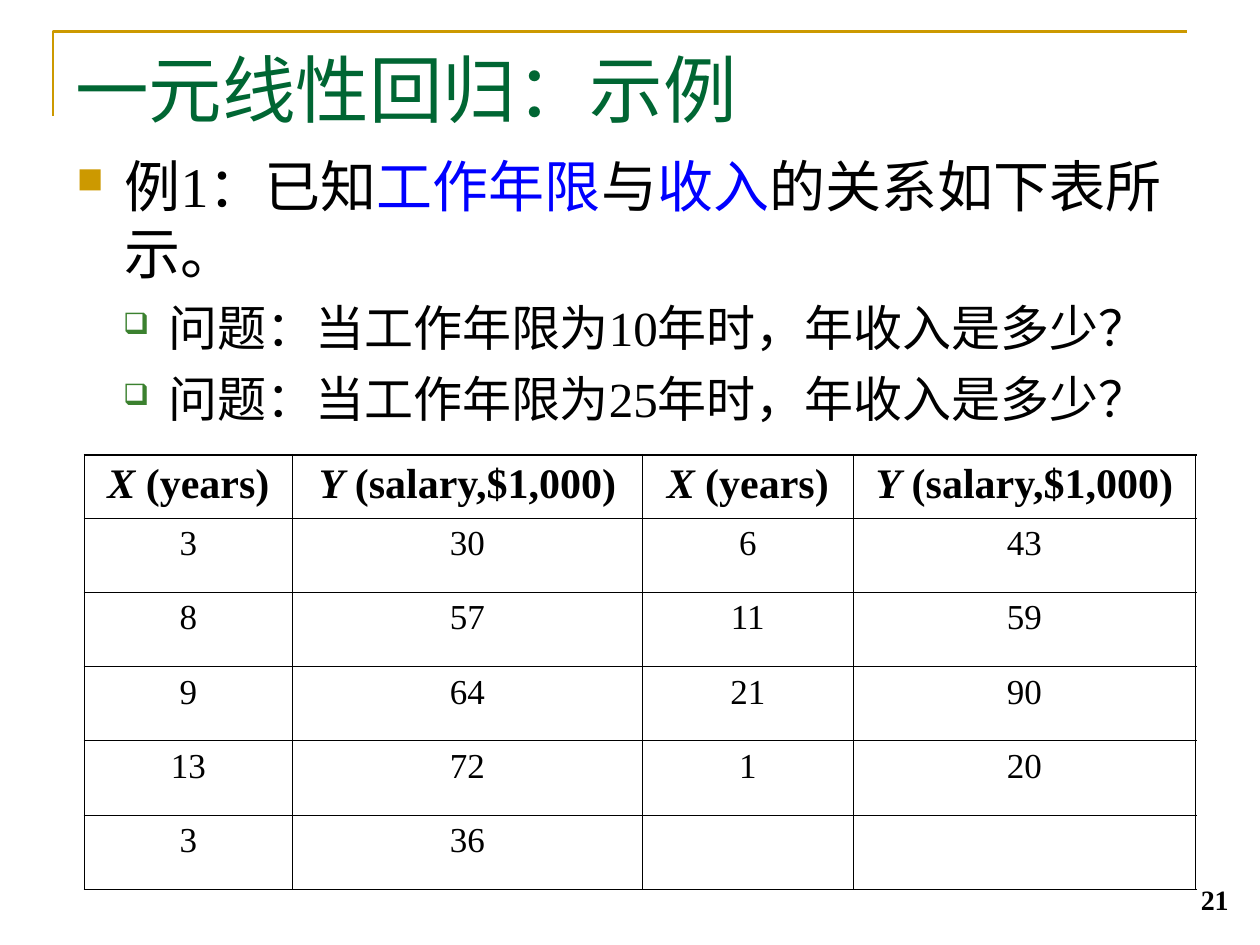
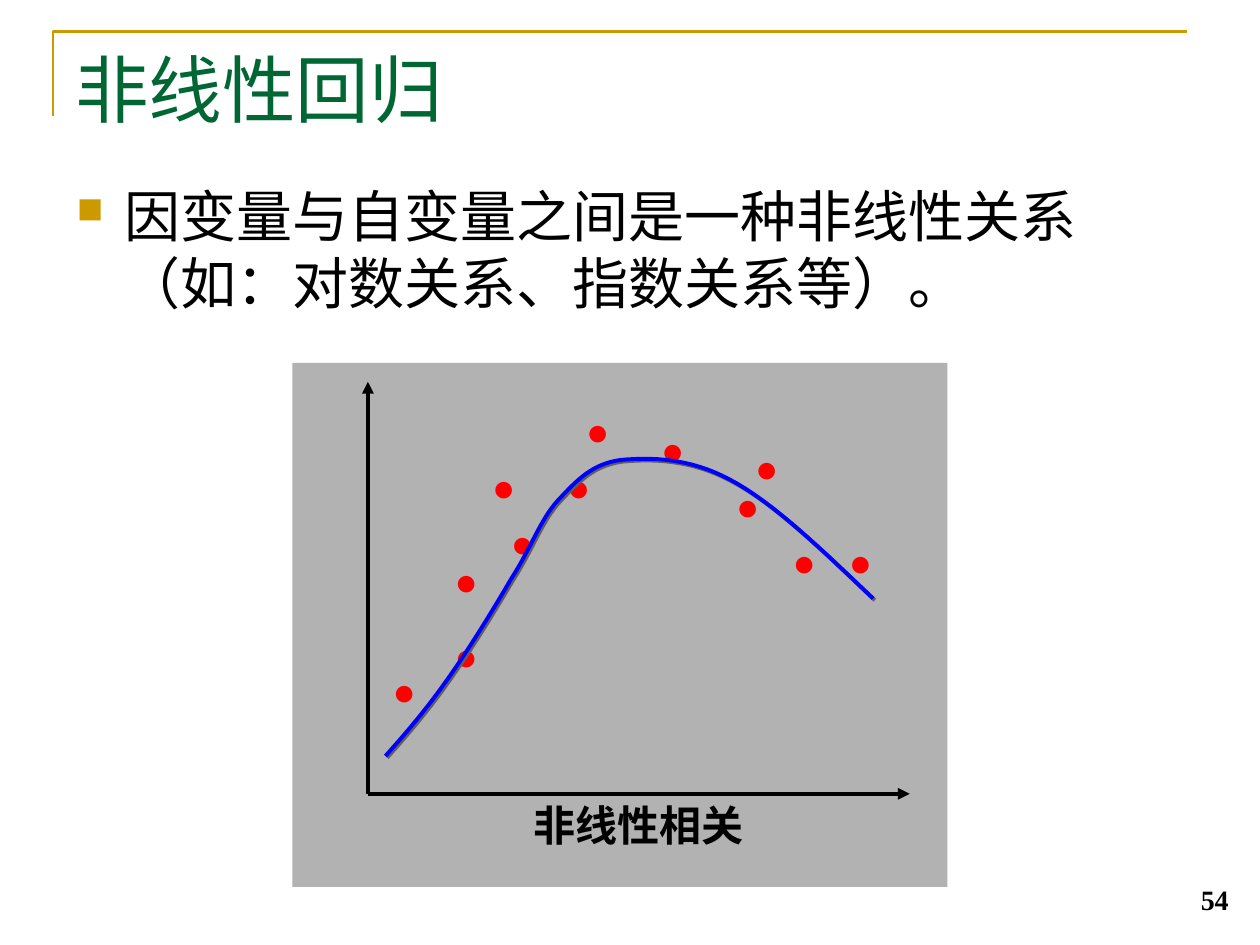
from lxml.etree import SubElement
from pptx import Presentation
from pptx.dml.color import RGBColor
from pptx.enum.lang import MSO_LANGUAGE_ID
from pptx.enum.shapes import MSO_CONNECTOR, MSO_SHAPE
from pptx.enum.text import MSO_ANCHOR, PP_ALIGN
from pptx.oxml.ns import qn
from pptx.util import Emu, Inches, Pt

# Shared look
GOLD, GREEN, BULLET_GREEN = "CC9900", "006633", "3B812F"
BLACK, BLUE, RED, GREY, SHADOW = "000000", "0000FF", "FF0000", "B2B2B2", "5F5F5F"
SERIF, SANS = "Times New Roman", "Arial"
LEVELS = [  # bullet, colour, bullet size %, text size, space before, margin, hanging
    ("■", GOLD, 65, 32, 8, 3.8, 3.8),
    ("❑", BULLET_GREEN, 60, 28, 7, 7.3, 3.6),
]

# Grid: the slide is 100 columns wide and 75 rows high, in square units
WIDTH, HEIGHT = Inches(10), Inches(7.5)
COLUMNS = 100


def u(n):
    return Emu(round(n * WIDTH / COLUMNS))


def rgb(value):
    return RGBColor.from_string(value)


# Effects and text
def add_shadow(props):
    effects = SubElement(props, qn("a:effectLst"))
    shadow = SubElement(effects, qn("a:outerShdw"), dist=str(Pt(1.4)), dir="2700000")
    SubElement(shadow, qn("a:srgbClr"), val=SHADOW)


def add_run(p, text, size=20, font=SERIF, color=BLACK, bold=False, italic=False,
            shadow=False):
    r = p.add_run()
    r.text = text
    f = r.font
    f.size, f.name, f.bold, f.italic = Pt(size), font, bold, italic
    f.color.rgb = rgb(color)
    f.language_id = MSO_LANGUAGE_ID.SIMPLIFIED_CHINESE
    if shadow:
        props = r._r.get_or_add_rPr()
        add_shadow(props)
        props.insert(1, props[-1])


def add_box(slide, x, y, w, h, anchor=MSO_ANCHOR.TOP):
    tf = slide.shapes.add_textbox(u(x), u(y), u(w), u(h)).text_frame
    tf.word_wrap = True
    tf.vertical_anchor = anchor
    return tf


def add_text(slide, text, x, y, w, h, align=PP_ALIGN.LEFT, anchor=MSO_ANCHOR.TOP,
             before=0, **style):
    p = add_box(slide, x, y, w, h, anchor).paragraphs[0]
    p.alignment, p.space_before = align, Pt(before)
    add_run(p, text, **style)


def add_bullets(slide, y, items, font=SERIF):
    """Each item is a level and a list of (text, colour) parts."""
    tf = add_box(slide, 5.1, y, 90, 69 - y)
    for i, (level, parts) in enumerate(items):
        char, color, percent, size, before, margin, hanging = LEVELS[level]
        p = tf.add_paragraph() if i else tf.paragraphs[0]
        p.level, p.space_before = level, Pt(before)
        props = p._p.get_or_add_pPr()
        props.set("marL", str(u(margin)))
        props.set("indent", str(-u(hanging)))
        SubElement(SubElement(props, qn("a:buClr")), qn("a:srgbClr"), val=color)
        SubElement(props, qn("a:buSzPct"), val=str(percent * 1000))
        SubElement(props, qn("a:buChar"), char=char)
        for text, part_color in parts:
            add_run(p, text, size=size, font=font, color=part_color)


# Lines
def add_polyline(slide, points, color, width, shadow=False):
    points = [(u(x), u(y)) for x, y in points]
    builder = slide.shapes.build_freeform(*points[0])
    builder.add_line_segments(points[1:], close=False)
    sp = builder.convert_to_shape()
    sp.fill.background()
    sp.line.color.rgb, sp.line.width = rgb(color), Pt(width)
    if shadow:
        add_shadow(sp._element.spPr)
    else:
        sp.shadow.inherit = False


def add_axis(slide, start, end):
    ends = [u(n) for n in (*start, *end)]
    line = slide.shapes.add_connector(MSO_CONNECTOR.STRAIGHT, *ends)
    line.line.color.rgb, line.line.width = rgb(BLACK), Pt(2.25)
    SubElement(line.line._get_or_add_ln(), qn("a:tailEnd"), type="triangle")
    SubElement(line._element.spPr, qn("a:effectLst"))


def bezier(start, segments, steps=16):
    """Points along a chain of cubic curves."""
    points = [start]
    for c1, c2, end in segments:
        for i in range(1, steps + 1):
            t = i / steps
            weights = ((1 - t) ** 3, 3 * t * (1 - t) ** 2, 3 * t * t * (1 - t), t ** 3)
            knots = (start, c1, c2, end)
            points.append(tuple(sum(w * k[axis] for w, k in zip(weights, knots))
                                for axis in (0, 1)))
        start = end
    return points


# Table
def set_borders(cell, outer):
    props = cell._tc.get_or_add_tcPr()
    for side in "LRTB":
        width = Pt(1.08 if side in outer else 0.45)
        ln = SubElement(props, qn("a:ln" + side), w=str(width))
        SubElement(SubElement(ln, qn("a:solidFill")), qn("a:srgbClr"), val=BLACK)


def add_data_table(slide, x, y, widths, heights, header, rows):
    table = slide.shapes.add_table(len(heights), len(widths), u(x), u(y),
                                   u(sum(widths)), u(sum(heights))).table
    table.first_row = table.horz_banding = False
    for column, width in zip(table.columns, widths):
        column.width = u(width)
    for row, height in zip(table.rows, heights):
        row.height = u(height)
    for i, values in enumerate([header] + rows):
        for j, value in enumerate(values):
            cell = table.cell(i, j)
            at_edge = {"L": j == 0, "R": j == len(widths) - 1,
                       "T": i == 0, "B": i == len(rows)}
            set_borders(cell, [side for side in at_edge if at_edge[side]])
            cell.fill.background()
            p = cell.text_frame.paragraphs[0]
            p.alignment, p.space_before = PP_ALIGN.CENTER, Pt(5 if i else 6)
            if i == 0:
                symbol, unit = value
                add_run(p, symbol, size=24, bold=True, italic=True)
                add_run(p, unit, size=24, bold=True)
            elif value is not None:
                add_run(p, str(value))


# Slides
def add_slide(prs, title, number):
    slide = prs.slides.add_slide(prs.slide_layouts[6])
    add_polyline(slide, [(4.2, 9.2), (4.2, 2.5), (94.2, 2.5)], GOLD, 1.5)
    add_text(slide, str(number), 75.2, 68.2, 23.3, 5, align=PP_ALIGN.RIGHT,
             anchor=MSO_ANCHOR.BOTTOM, size=16, bold=True)
    add_text(slide, title, 5, 3, 90, 10.1, size=42, color=GREEN)
    return slide


def build_example(prs):
    slide = add_slide(prs, "一元线性回归：示例", 21)
    questions = [(1, [(f"问题：当工作年限为{years}年时，年收入是多少？", BLACK)])
                 for years in (10, 25)]
    add_bullets(slide, 11.5, [
        (0, [("例1：已知", BLACK), ("工作年限", BLUE), ("与", BLACK),
             ("收入", BLUE), ("的关系如下表所示。", BLACK)]),
        *questions,
    ])
    add_data_table(
        slide, 6.7, 36.1, [16.5, 27.8, 16.7, 27.2], [5] + [5.9] * 5,
        [("X", " (years)"), ("Y", " (salary,$1,000)")] * 2,
        [[3, 30, 6, 43], [8, 57, 11, 59], [9, 64, 21, 90],
         [13, 72, 1, 20], [3, 36, None, None]])


def add_dots(slide, dots):
    step, left, top = 1.49, 35.1, 31.8
    for column, row in dots:
        add_text(slide, "●", left + column * step, top + row * step, 8, 4.7,
                 before=13.8, size=22, font=SANS, color=RED, shadow=True)


def build_nonlinear(prs):
    slide = add_slide(prs, "非线性回归", 54)
    add_bullets(slide, 13.9, [
        (0, [("因变量与自变量之间是一种非线性关系（如：对数关系、指数关系等）。", BLACK)]),
    ], font=SANS)

    # Panel and axes
    panel = slide.shapes.add_shape(MSO_SHAPE.RECTANGLE, u(23.2), u(28.8), u(52), u(41.6))
    panel.fill.solid()
    panel.fill.fore_color.rgb = rgb(GREY)
    panel.line.fill.background()
    panel.shadow.inherit = False
    origin = (29.2, 63)
    add_axis(slide, origin, (29.2, 30.3))
    add_axis(slide, origin, (72.2, 63))

    # Observations behind and in front of the fitted curve
    add_dots(slide, [(-3.3, 13.85), (18, 7), (11, 1), (16, 2), (7, 0), (6, 3),
                     (3, 6), (0, 12), (0, 8)])
    curve = bezier((30.6, 60), [
        ((32.3, 58.1), (34, 56.1), (35.6, 53.8)),
        ((37.3, 51.4), (39.2, 48.3), (40.6, 45.9)),
        ((42.1, 43.6), (42.9, 41.2), (44.3, 39.7)),
        ((45.8, 38.1), (47, 36.8), (49.3, 36.5)),
        ((51.6, 36.3), (54.7, 36.3), (58, 38.1)),
        ((61.4, 39.9), (65.3, 43.7), (69.3, 47.5)),
    ])
    add_polyline(slide, curve, BLUE, 2.25, shadow=True)
    add_dots(slide, [(15, 4), (21, 7), (2, 3)])
    add_text(slide, "非线性相关", 32.1, 63, 37.1, 5, align=PP_ALIGN.CENTER, before=15,
             size=24, font=SANS, bold=True, shadow=True)


def main():
    prs = Presentation()
    prs.slide_width, prs.slide_height = WIDTH, HEIGHT
    build_example(prs)
    build_nonlinear(prs)
    prs.save("out.pptx")


if __name__ == "__main__":
    main()
